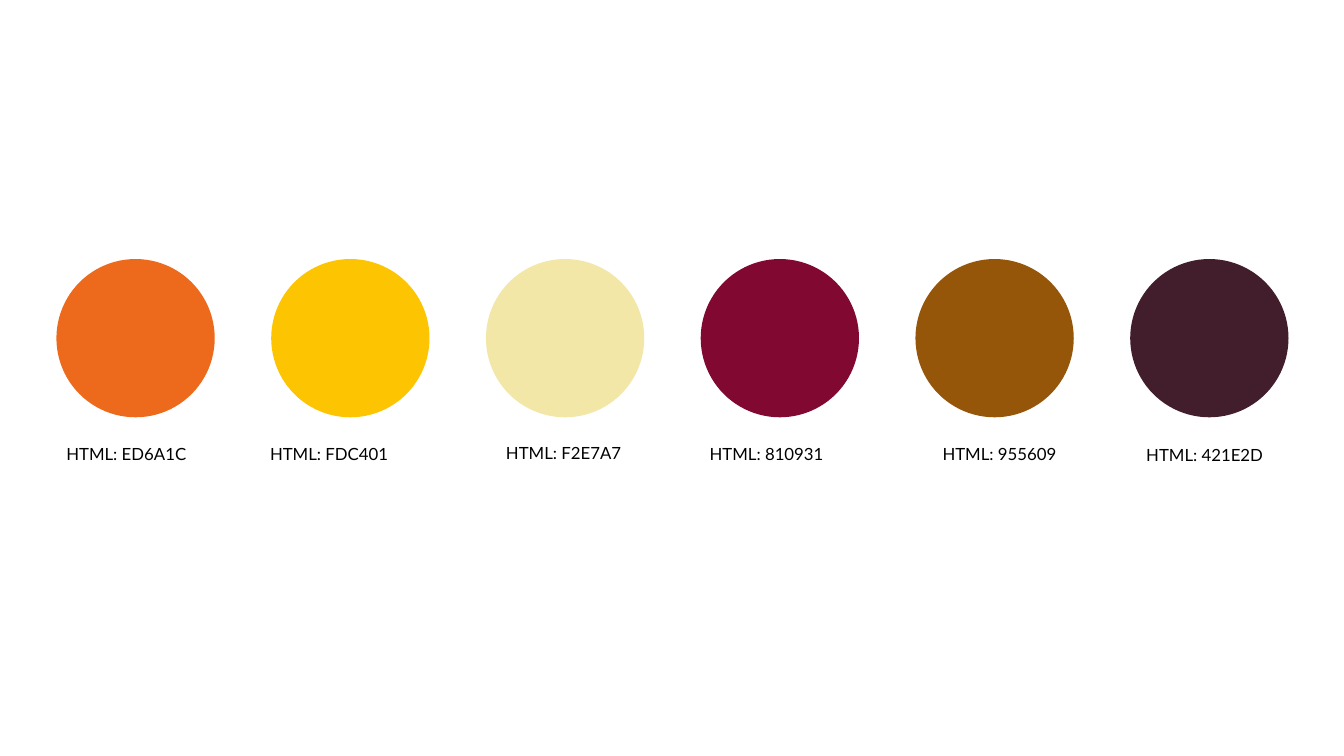
"""Build a slide with a row of six colour swatches and their HTML codes."""
from pptx import Presentation
from pptx import util as u
from pptx.dml import color
from pptx.enum import shapes, text

COLORS = {
    "orange": "ED6A1C",
    "yellow": "FDC401",
    "cream": "F2E7A7",
    "burgundy": "810931",
    "brown": "955609",
    "plum": "421E2D",
    "text": "000000",
    "background": "FFFFFF",
}
LABEL_PLACES = {
    "orange": (0.56, 4.35),
    "yellow": (2.58, 4.35),
    "cream": (4.92, 4.34),
    "burgundy": (6.94, 4.35),
    "brown": (9.25, 4.35),
    "plum": (11.27, 4.36),
}
SWATCH_LEFT, SWATCH_TOP, SWATCH_SIZE, SWATCH_STEP = 0.56, 2.57, 1.57, 2.13


def write_text(frame, words, font="Lato", size=12, hue="text"):
    """Write one formatted run into the first paragraph of a text frame."""
    span = frame.paragraphs[0].add_run()
    span.text = words
    span.font.name = font
    span.font.size = u.Pt(size)
    span.font.color.rgb = color.RGBColor.from_string(COLORS[hue])


class Painter:
    """Hold the style and the current slide, and draw elements on it."""

    def __init__(self, page, colors):
        """Keep the slide and the palette, and fill the background."""
        self.page = page
        self.colors = colors
        self.fill(page.background, "background")

    def fill(self, item, hue):
        """Give an item a solid fill from the palette."""
        item.fill.solid()
        item.fill.fore_color.rgb = color.RGBColor.from_string(self.colors[hue])

    def swatch(self, left, top, size, hue):
        """Draw a plain filled circle."""
        circle = self.page.shapes.add_shape(
            shapes.MSO_SHAPE.OVAL, *map(u.Inches, (left, top, size, size)))
        circle.shadow.inherit = False
        circle.line.fill.background()
        self.fill(circle, hue)

    def label(self, left, top, words, width=1.47, height=1.11):
        """Place a wrapped text box with one line of text."""
        box = self.page.shapes.add_textbox(
            *map(u.Inches, (left, top, width, height)))
        box.text_frame.word_wrap = True
        box.text_frame.auto_size = text.MSO_AUTO_SIZE.SHAPE_TO_FIT_TEXT
        write_text(box.text_frame, words)


def main():
    """Build and save the deck."""
    deck = Presentation()
    deck.slide_width, deck.slide_height = u.Inches(13.33), u.Inches(7.5)
    painter = Painter(deck.slides.add_slide(deck.slide_layouts[6]), COLORS)
    for index, hue in enumerate(LABEL_PLACES):
        left = SWATCH_LEFT + index * SWATCH_STEP
        painter.swatch(left, SWATCH_TOP, SWATCH_SIZE, hue)
    for hue, (left, top) in LABEL_PLACES.items():
        painter.label(left, top, f"HTML: {COLORS[hue]}")
    deck.save("out.pptx")


main()
